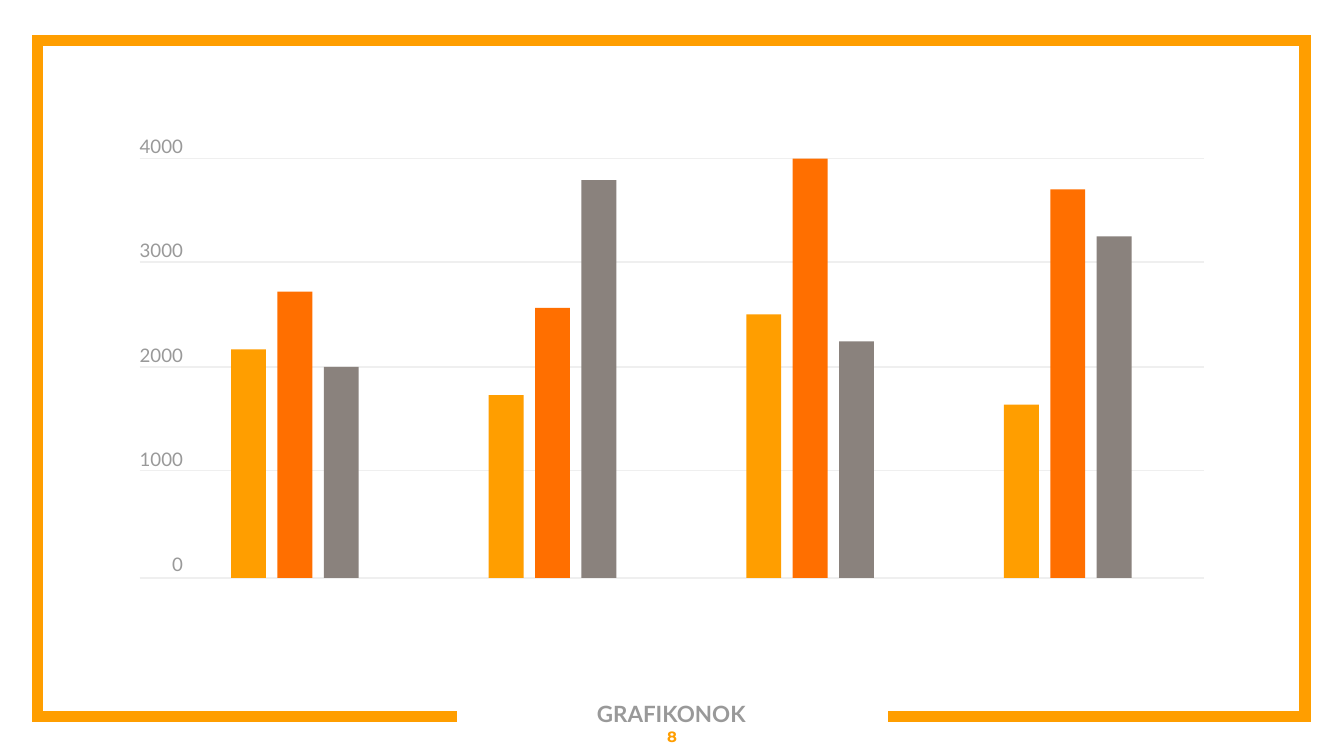
from dataclasses import dataclass

from lxml.etree import SubElement
from pptx import Presentation
from pptx.dml.color import RGBColor
from pptx.enum.shapes import MSO_CONNECTOR, MSO_SHAPE
from pptx.enum.text import MSO_ANCHOR, PP_ALIGN
from pptx.oxml.ns import qn
from pptx.util import Inches, Pt


@dataclass(frozen=True)
class Theme:
    """Colours, fonts and type sizes."""
    amber: str = "FF9E00"
    orange: str = "FF6F00"
    taupe: str = "8A827D"
    grey: str = "999999"
    grid: str = "EFEFEF"
    body_font: str = "Lato"
    number_font: str = "Montserrat"
    title_size: float = 12
    axis_size: float = 10
    number_size: float = 8


class SlideBuilder:
    """Draws styled elements on one slide."""

    def __init__(self, slide, theme):
        """Keep the slide and its style."""
        self.slide = slide
        self.theme = theme

    def frame(self, points, color, width):
        """Draw an open outline with sharp corners."""
        corners = [(Inches(x), Inches(y)) for x, y in points]
        builder = self.slide.shapes.build_freeform(*corners[0], scale=1.0)
        builder.add_line_segments(corners[1:], close=False)
        shape = builder.convert_to_shape()
        shape.shadow.inherit = False
        shape.fill.background()
        shape.line.color.rgb = RGBColor.from_string(color)
        shape.line.width = Pt(width)
        SubElement(shape.line._get_or_add_ln(), qn("a:miter"), lim="800000")

    def text(self, box, lines, font, size, color, bold=False, inset=0.1,
             anchor=MSO_ANCHOR.TOP, align=PP_ALIGN.CENTER):
        """Add a text box and return its paragraphs."""
        shape = self.slide.shapes.add_textbox(*map(Inches, box))
        text_frame = shape.text_frame
        text_frame.word_wrap = True
        text_frame.vertical_anchor = anchor
        text_frame.margin_left = text_frame.margin_right = Inches(inset)
        text_frame.margin_top = text_frame.margin_bottom = Inches(inset)
        text_frame.text = "\n".join(lines)
        for paragraph in text_frame.paragraphs:
            paragraph.alignment = align
            for run in paragraph.runs:
                run.font.name = font
                run.font.size = Pt(size)
                run.font.bold = bold
                run.font.color.rgb = RGBColor.from_string(color)
        return text_frame.paragraphs

    def grid_line(self, left, right, top):
        """Draw one horizontal grid line."""
        line = self.slide.shapes.add_connector(
            MSO_CONNECTOR.STRAIGHT, Inches(left), Inches(top), Inches(right), Inches(top))
        line.line.color.rgb = RGBColor.from_string(self.theme.grid)
        line.line.width = Pt(0.75)
        SubElement(line._element.spPr, qn("a:effectLst"))

    def bar(self, left, base, width, height, color):
        """Draw one bar standing on the base line."""
        shape = self.slide.shapes.add_shape(
            MSO_SHAPE.RECTANGLE, Inches(left), Inches(base - height),
            Inches(width), Inches(height))
        shape.shadow.inherit = False
        shape.fill.solid()
        shape.fill.fore_color.rgb = RGBColor.from_string(color)
        shape.line.fill.background()


FRAME = [(3.4, 5.33), (0.28, 5.33), (0.28, 0.3), (9.71, 0.3), (9.71, 5.33), (6.61, 5.33)]
GRID_TOPS = [1.18, 1.95, 2.73, 3.5, 4.3]
AXIS_LABELS = ["4000", "3000", "2000", "1000", "0"]
BAR_HEIGHTS = [
    (1.7, 2.13, 1.57),
    (1.36, 2.01, 2.96),
    (1.96, 3.12, 1.76),
    (1.29, 2.89, 2.54),
]
FIRST_BAR_LEFT, BAR_WIDTH, BASE_LINE = 1.72, 0.26, 4.3
GROUP_STEP = 5.75 / 3
BAR_STEP = 0.69 / 2


def main():
    """Build and save the slide."""
    presentation = Presentation()
    presentation.slide_width = Inches(10)
    presentation.slide_height = Inches(10 * 9 / 16)
    theme = Theme()
    builder = SlideBuilder(
        presentation.slides.add_slide(presentation.slide_layouts[6]), theme)

    builder.frame(FRAME, theme.amber, 6)
    title = builder.text((3.39, 4.94, 3.21, 0.57), ["GRAFIKONOK"], theme.body_font,
                         theme.title_size, theme.grey, bold=True, anchor=MSO_ANCHOR.BOTTOM)
    title[0].space_before = Pt(3.6)
    builder.text((0, 5.33, 10, 0.3), ["8"], theme.number_font, theme.number_size,
                 theme.amber, bold=True, anchor=MSO_ANCHOR.MIDDLE)

    for top in GRID_TOPS:
        builder.grid_line(1.04, 8.96, top)
    labels = builder.text((0.97, 1, 0.39, 3.31), AXIS_LABELS, theme.body_font,
                          theme.axis_size, theme.grey, inset=0, align=PP_ALIGN.RIGHT)
    for paragraph in labels[1:]:
        paragraph.space_before = Pt(44)
    labels[-1].space_after = Pt(44)

    series_colors = (theme.amber, theme.orange, theme.taupe)
    for group, heights in enumerate(BAR_HEIGHTS):
        for series, (height, color) in enumerate(zip(heights, series_colors)):
            left = FIRST_BAR_LEFT + group * GROUP_STEP + series * BAR_STEP
            builder.bar(left, BASE_LINE, BAR_WIDTH, height, color)

    presentation.save("out.pptx")


main()
